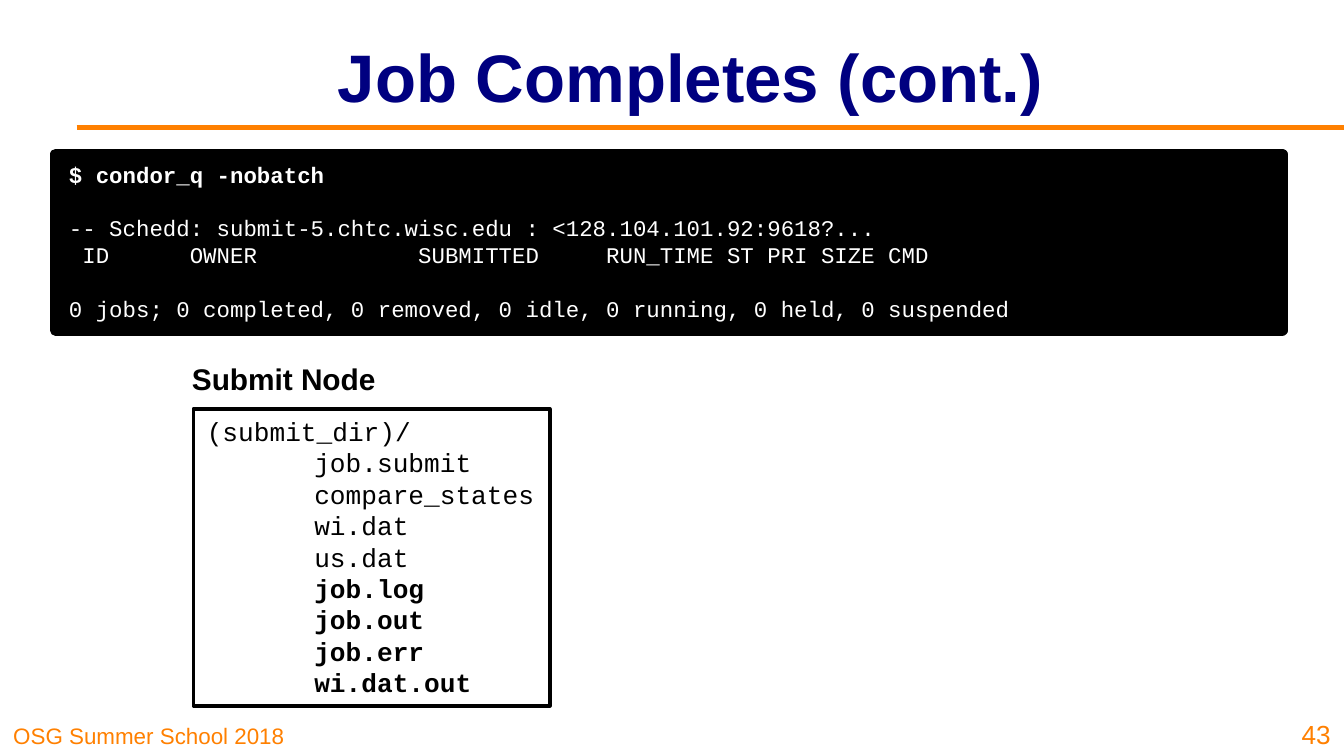
from dataclasses import dataclass
from typing import NamedTuple

from lxml import etree
from pptx import Presentation, util as u
from pptx.dml.color import RGBColor
from pptx.enum import shapes, text
from pptx.oxml.ns import qn


@dataclass(frozen=True)
class Theme:
    orange: str = "FF8000"
    navy: str = "000080"
    black: str = "000000"
    white: str = "FFFFFF"
    sans: str = "Arial"
    mono: str = "Courier New"
    title: float = 36
    heading: float = 16
    body: float = 14
    small: float = 12
    leading: float = 1.2  # line pitch of monospaced text, as a share of its size


class Area(NamedTuple):
    """Left, top, width and height as percentages of the slide."""
    left: float
    top: float
    width: float
    height: float


class Line(NamedTuple):
    words: str
    bold: bool = False
    gap: bool = False  # leaves one line free above


@dataclass(frozen=True)
class Label:
    area: Area
    words: str
    size: float
    color: str
    bold: bool = False
    align: text.PP_ALIGN = text.PP_ALIGN.LEFT
    anchor: text.MSO_ANCHOR = text.MSO_ANCHOR.MIDDLE


@dataclass(frozen=True)
class Panel:
    area: Area
    lines: list[Line]
    size: float
    color: str
    fill: str
    border: float
    tab: float = 0  # tab stop in inches


THEME = Theme()
SLIDE_W = u.Inches(10)
SLIDE_H = u.Emu(SLIDE_W * 9 // 16)

LABELS = [
    Label(Area(0, 94.49, 24.8, 5.51), "OSG Summer School 2018", THEME.small,
          THEME.orange, anchor=text.MSO_ANCHOR.BOTTOM),
    Label(Area(13.4, 1.6, 76, 16.71), "Job Completes (cont.)", THEME.title,
          THEME.navy, bold=True, align=text.PP_ALIGN.CENTER),
    Label(Area(95.4, 93.33, 4.6, 6.67), "43", THEME.body, THEME.orange,
          align=text.PP_ALIGN.RIGHT, anchor=text.MSO_ANCHOR.BOTTOM),
    Label(Area(13.3, 46.22, 16.8, 7.64), "Submit Node", THEME.heading,
          THEME.black, bold=True),
]

TERMINAL = Panel(
    Area(4.15, 20.4, 91.25, 23.29),
    [
        Line("$ condor_q -nobatch", bold=True),
        Line("-- Schedd: submit-5.chtc.wisc.edu : <128.104.101.92:9618?...", gap=True),
        Line(" ID      OWNER            SUBMITTED     RUN_TIME ST PRI SIZE CMD"),
        Line("0 jobs; 0 completed, 0 removed, 0 idle, 0 running, 0 held, 0 suspended",
             gap=True),
    ],
    THEME.small, THEME.white, THEME.black, border=6)

INPUT_FILES = ["job.submit", "compare_states", "wi.dat", "us.dat"]
OUTPUT_FILES = ["job.log", "job.out", "job.err", "wi.dat.out"]
DIRECTORY = Panel(
    Area(14.4, 54.08, 26.5, 39.29),
    [Line("(submit_dir)/")]
    + [Line(f"\t{name}") for name in INPUT_FILES]
    + [Line(f"\t{name}", bold=True) for name in OUTPUT_FILES],
    THEME.body, THEME.black, THEME.white, border=2, tab=0.8)


def across(percent: float) -> u.Emu:
    return u.Emu(round(SLIDE_W * percent / 100))


def down(percent: float) -> u.Emu:
    return u.Emu(round(SLIDE_H * percent / 100))


def place(area: Area) -> tuple[u.Emu, ...]:
    return across(area.left), down(area.top), across(area.width), down(area.height)


def apply(target, values: dict) -> None:
    for name, value in values.items():
        setattr(target, name, value)


def style_font(font, face: str, size: float, color: str, bold: bool) -> None:
    apply(font, {"name": face, "size": u.Pt(size), "bold": bold})
    font.color.rgb = RGBColor.from_string(color)


def set_frame(frame, anchor: text.MSO_ANCHOR, wrap: bool) -> None:
    apply(frame, {
        "word_wrap": wrap, "vertical_anchor": anchor,
        "margin_left": u.Inches(0.1), "margin_right": u.Inches(0.1),
        "margin_top": u.Inches(0.05), "margin_bottom": u.Inches(0.05)})


def draw_label(slide, label: Label) -> None:
    frame = slide.shapes.add_textbox(*place(label.area)).text_frame
    set_frame(frame, label.anchor, wrap=True)
    paragraph = frame.paragraphs[0]
    paragraph.alignment = label.align
    run = paragraph.add_run()
    run.text = label.words
    style_font(run.font, THEME.sans, label.size, label.color, label.bold)


def add_tab(paragraph, inches: float) -> None:
    stops = etree.SubElement(paragraph._p.get_or_add_pPr(), qn("a:tabLst"))
    etree.SubElement(stops, qn("a:tab"), pos=str(u.Inches(inches)), algn="l")


def draw_panel(slide, panel: Panel) -> None:
    box = slide.shapes.add_shape(shapes.MSO_SHAPE.RECTANGLE, *place(panel.area))
    box.shadow.inherit = False
    box.fill.solid()
    box.fill.fore_color.rgb = RGBColor.from_string(panel.fill)
    box.line.color.rgb = RGBColor.from_string(THEME.black)
    box.line.width = u.Pt(panel.border)
    frame = box.text_frame
    set_frame(frame, text.MSO_ANCHOR.TOP, wrap=False)
    pitch = u.Pt(panel.size * THEME.leading)
    for index, line in enumerate(panel.lines):
        paragraph = frame.add_paragraph() if index else frame.paragraphs[0]
        if panel.tab:
            add_tab(paragraph, panel.tab)
        apply(paragraph, {"alignment": text.PP_ALIGN.LEFT, "line_spacing": pitch,
                          "space_before": pitch if line.gap else u.Pt(0)})
        run = paragraph.add_run()
        run.text = line.words
        style_font(run.font, THEME.mono, panel.size, panel.color, line.bold)


def draw_title_rule(slide) -> None:
    height = down(16.89)
    rule = slide.shapes.add_connector(
        shapes.MSO_CONNECTOR.STRAIGHT, across(5.7), height, across(100), height)
    rule.line.color.rgb = RGBColor.from_string(THEME.orange)
    rule.line.width = u.Pt(3)
    etree.SubElement(rule._element.spPr, qn("a:effectLst"))


def main() -> None:
    deck = Presentation()
    apply(deck, {"slide_width": SLIDE_W, "slide_height": SLIDE_H})
    slide = deck.slides.add_slide(deck.slide_layouts[6])

    # Title rule
    draw_title_rule(slide)

    # Terminal output and directory listing
    for panel in (TERMINAL, DIRECTORY):
        draw_panel(slide, panel)

    # Title, heading, footer and page number
    for label in LABELS:
        draw_label(slide, label)

    deck.save("out.pptx")


if __name__ == "__main__":
    main()
